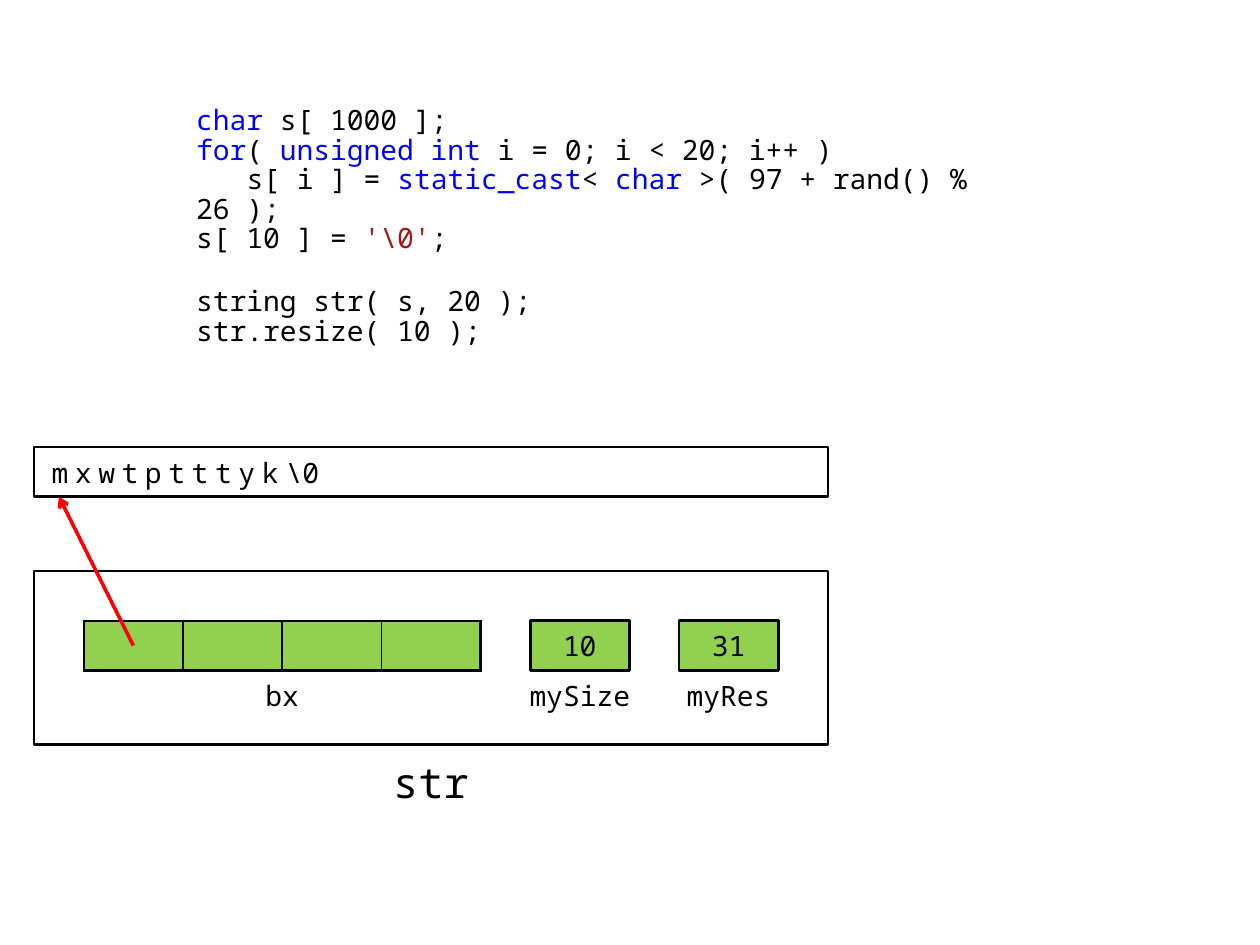
import pptx
import pptx.util
import pptx.dml.color
import pptx.enum.shapes
import pptx.enum.text
import pptx.oxml
import pptx.oxml.ns

Pt = pptx.util.Pt
RGB = pptx.dml.color.RGBColor
Kind = pptx.enum.shapes.MSO_SHAPE
Align = pptx.enum.text.PP_ALIGN
qn = pptx.oxml.ns.qn

BLACK = RGB(0, 0, 0)
WHITE = RGB(255, 255, 255)
BLUE = RGB(0, 0, 255)
BROWN = RGB(163, 21, 21)
GREEN = RGB(146, 208, 80)
RED = RGB(255, 0, 0)

FONT = "Noto Sans Mono"
UNIT = 28.35  # one centimetre, the grid step
CHAR = 9.6  # width of one character at 16 pt

# Each line: indent in characters, space before in points, coloured runs
CODE = [
    (0, 0, [("char", BLUE), (" s[ 1000 ];", BLACK)]),
    (0, 0, [("for", BLUE), ("( ", BLACK), ("unsigned int", BLUE),
            (" i = 0; i < 20; i++ )", BLACK)]),
    (3, 0, [("s[ i ] = ", BLACK), ("static_cast", BLUE), ("< ", BLACK),
            ("char", BLUE), (" >( 97 + rand() % 26 );", BLACK)]),
    (0, 0, [("s[ 10 ] = ", BLACK), ("'\\0'", BROWN), (";", BLACK)]),
    (0, 19.2, [("string str( s, 20 );", BLACK)]),
    (0, 0, [("str.resize( 10 );", BLACK)]),
]


def add_text(para, text, size=16, color=BLACK, gap=0):
    """Add a run; gap is the extra letter spacing in points."""
    run = para.add_run()
    run.text = text
    run.font.name = FONT
    run.font.size = Pt(size)
    run.font.color.rgb = color
    if gap:
        run.font._element.set("spc", str(round(gap * 100)))


def add_box(slide, box, kind=Kind.RECTANGLE, fill=None, text="", size=16):
    """Add a shape with centred text; without a fill it has no outline."""
    shape = slide.shapes.add_shape(kind, *map(Pt, box))
    shape.shadow.inherit = False
    if fill is None:
        shape.fill.background()
        shape.line.fill.background()
    else:
        shape.fill.solid()
        shape.fill.fore_color.rgb = fill
        shape.line.color.rgb = BLACK
        shape.line.width = Pt(1.5)
    frame = shape.text_frame
    frame.vertical_anchor = pptx.enum.text.MSO_ANCHOR.MIDDLE
    if text:
        frame.paragraphs[0].alignment = Align.CENTER
        add_text(frame.paragraphs[0], text, size=size)
    return shape


def add_code(slide, box):
    frame = slide.shapes.add_textbox(*map(Pt, box)).text_frame
    frame.word_wrap = True
    for i, (indent, before, runs) in enumerate(CODE):
        para = frame.add_paragraph() if i else frame.paragraphs[0]
        para.line_spacing = 0.88
        para.space_before = Pt(before)
        if indent:
            para._p.get_or_add_pPr().set("indent", str(Pt(indent * CHAR)))
        for text, color in runs:
            add_text(para, text, color=color)


def add_chars(slide, box):
    """Add the heap buffer that holds the characters."""
    frame = add_box(slide, box, fill=WHITE).text_frame
    frame.margin_left = Pt(10)
    para = frame.paragraphs[0]
    para.alignment = Align.LEFT
    for text, gap in (("mxwtptttyk", 3.8), ("\\", -1.5), ("0", 0)):
        add_text(para, text, gap=gap)


def set_edge(cell, side, width):
    line = pptx.oxml.parse_xml(
        f'<a:ln{side} xmlns:a="{pptx.oxml.ns.nsdecls("a").split(chr(34))[1]}" '
        f'w="{Pt(width)}"><a:solidFill><a:srgbClr val="{BLACK}"/>'
        f'</a:solidFill></a:ln{side}>')
    cell._tc.get_or_add_tcPr().append(line)


def add_words(slide, box, count=4):
    """Add the row of words; all but the first are half transparent."""
    table = slide.shapes.add_table(1, count, *map(Pt, box)).table
    table.first_row = table.horz_banding = False
    table.rows[0].height = Pt(box[3])
    for i, cell in enumerate(table.rows[0].cells):
        table.columns[i].width = Pt(box[2] / count)
        cell.margin_top = cell.margin_bottom = 0
        set_edge(cell, "L", 1 if i else 1.5)
        set_edge(cell, "R", 1 if i < count - 1 else 1.5)
        set_edge(cell, "T", 1.5)
        set_edge(cell, "B", 1.5)
        cell.fill.solid()
        cell.fill.fore_color.rgb = GREEN
        if i:
            color = next(cell._tc.tcPr.iter(qn("a:srgbClr")))
            color.append(color.makeelement(qn("a:alpha"), {"val": "50000"}))


def add_object(slide, box):
    """Add the string object with its members and its name below."""
    left, top, width, height = box
    add_box(slide, box, Kind.FLOWCHART_PROCESS, WHITE)

    def place(x, y, w, h=1):
        return left + x * UNIT, top + y * UNIT, w * UNIT, h * UNIT

    add_words(slide, place(1, 1, 8))
    add_box(slide, place(4, 2, 2), Kind.FLOWCHART_PROCESS, text="bx")
    for x, name, value in ((10, "mySize", "10"), (13, "myRes", "31")):
        add_box(slide, place(x, 1, 2), fill=GREEN, text=value)
        add_box(slide, place(x - 0.5, 2, 3), Kind.FLOWCHART_PROCESS, text=name)
    add_box(slide, place(6.5, height / UNIT, 3, 1.5), text="str", size=24)


def add_arrow(slide, start, end):
    line = slide.shapes.add_connector(
        pptx.enum.shapes.MSO_CONNECTOR.STRAIGHT, *map(Pt, start + end))
    line.line.color.rgb = RED
    line.line.width = Pt(2)
    stroke = line.line._get_or_add_ln()
    stroke.append(stroke.makeelement(qn("a:tailEnd"), {"type": "arrow"}))
    props = line._element.spPr
    props.append(props.makeelement(qn("a:effectLst"), {}))


def main():
    deck = pptx.Presentation()
    deck.slide_width, deck.slide_height = Pt(720), Pt(540)
    slide = deck.slides.add_slide(deck.slide_layouts[6])
    left, top, width = 19.5, 255.5, 16 * UNIT
    base = top + 2.5 * UNIT
    add_code(slide, (105, 57.5, 510.5, 142))
    add_object(slide, (left, base, width, 3.5 * UNIT))
    add_chars(slide, (left, top, width, UNIT))
    add_arrow(slide, (left + 2 * UNIT, base + 1.5 * UNIT),
              (left + 0.5 * UNIT, top + UNIT))
    deck.save("out.pptx")


if __name__ == "__main__":
    main()
